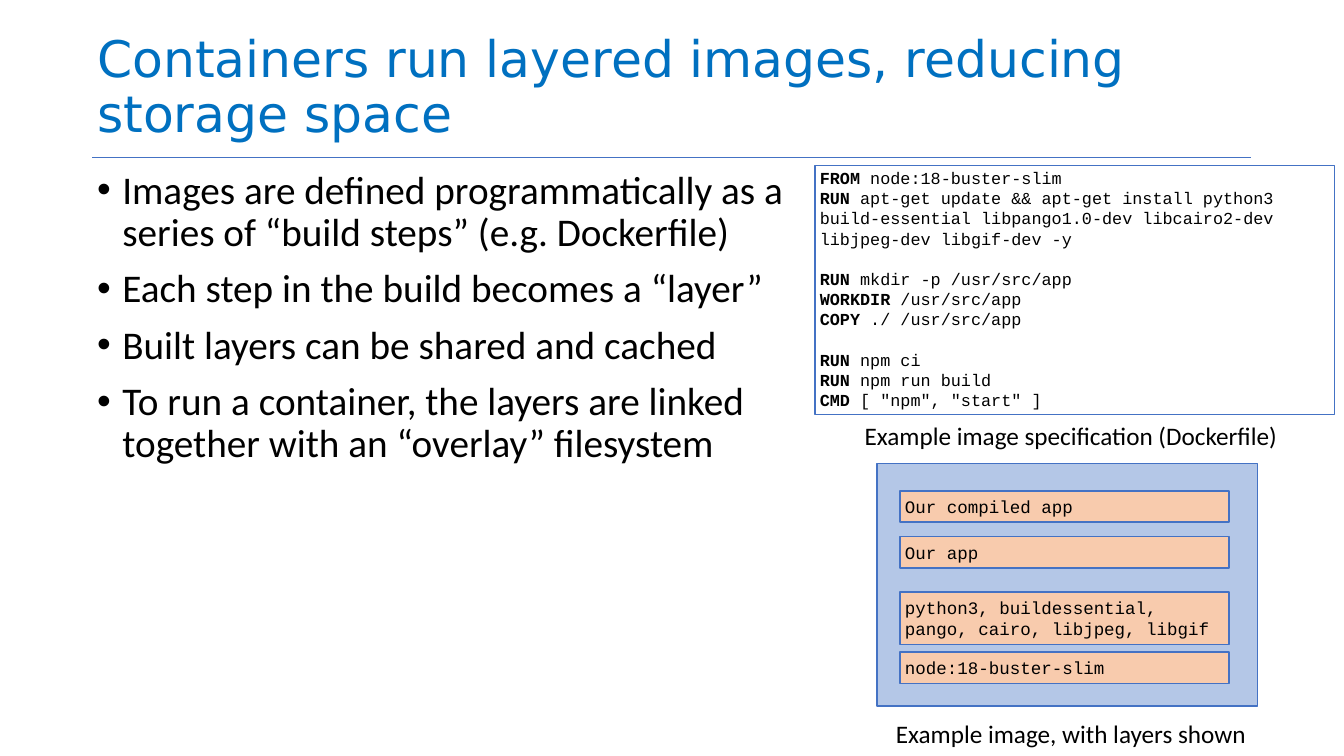
from lxml.etree import SubElement
from pptx import Presentation
from pptx.dml.color import RGBColor
from pptx.enum.shapes import MSO_CONNECTOR as Connector, MSO_SHAPE as Shape
from pptx.enum.text import MSO_ANCHOR as Anchor, PP_ALIGN as Align
from pptx.oxml.ns import qn
from pptx.util import Inches, Pt

BLACK = RGBColor(0x00, 0x00, 0x00)
TITLE_BLUE = RGBColor(0x00, 0x70, 0xC0)
LINE_BLUE = RGBColor(0x44, 0x72, 0xC4)
IMAGE_BLUE = RGBColor(0xB4, 0xC7, 0xE7)
LAYER_ORANGE = RGBColor(0xF8, 0xCB, 0xAD)

TITLE = {"name": "DejaVu Sans", "size": Pt(72), "color": TITLE_BLUE}
BODY = {"name": "Calibri", "size": Pt(56), "color": BLACK}
CAPTION = {"name": "Calibri", "size": Pt(36), "color": BLACK}
CODE = {"name": "Courier New", "size": Pt(24), "color": BLACK}
LAYER = {"name": "Courier New", "size": Pt(25), "color": BLACK}

presentation = Presentation()
presentation.slide_width = Inches(26.67)
presentation.slide_height = Inches(15)
slide = presentation.slides.add_slide(presentation.slide_layouts[6])


def add_box(left, top, width, height, anchor, fill=None, outlined=False, inset=0.1):
    position = [Inches(value) for value in (left, top, width, height)]
    if outlined:
        shape = slide.shapes.add_shape(Shape.RECTANGLE, *position)
        shape.shadow.inherit = False
        shape.line.color.rgb = LINE_BLUE
        shape.line.width = Pt(2)
        if fill is None:
            shape.fill.background()
        else:
            shape.fill.solid()
            shape.fill.fore_color.rgb = fill
    else:
        shape = slide.shapes.add_textbox(*position)
    frame = shape.text_frame
    settings = {
        "word_wrap": True, "vertical_anchor": anchor,
        "margin_left": Inches(0.1), "margin_right": Inches(0.1),
        "margin_top": Inches(inset), "margin_bottom": Inches(inset),
    }
    for name, value in settings.items():
        setattr(frame, name, value)
    frame.paragraphs[0].alignment = Align.LEFT
    return frame


def add_run(paragraph, text, style, bold=False):
    run = paragraph.add_run()
    run.text = text
    run.font.bold = bold
    for name, value in style.items():
        if name == "color":
            run.font.color.rgb = value
        else:
            setattr(run.font, name, value)


rule = slide.shapes.add_connector(
    Connector.STRAIGHT, Inches(1.83), Inches(3.13), Inches(24.83), Inches(3.13))
rule.line.color.rgb = LINE_BLUE
rule.line.width = Pt(1)
SubElement(rule._element.spPr, qn("a:effectLst"))

title = add_box(1.83, 0.04, 23, 2.9, Anchor.BOTTOM).paragraphs[0]
title.line_spacing = 0.9
add_run(title, "Containers run layered images, reducing storage space", TITLE)

bullets = [
    "Images are defined programmatically as a series of “build steps” (e.g. Dockerfile)",
    "Each step in the build becomes a “layer”",
    "Built layers can be shared and cached",
    "To run a container, the layers are linked together with an “overlay” filesystem",
]
body = add_box(1.83, 3.28, 14.33, 9.52, Anchor.TOP)
for index, text in enumerate(bullets):
    paragraph = body.add_paragraph() if index else body.paragraphs[0]
    properties = paragraph._p.get_or_add_pPr()
    properties.set("marL", str(Inches(0.5)))
    properties.set("indent", str(Inches(-0.5)))
    SubElement(properties, qn("a:buFont"), typeface="Arial")
    SubElement(properties, qn("a:buChar"), char="•")
    paragraph.line_spacing = 0.9
    if index:
        paragraph.space_before = Pt(20)
    add_run(paragraph, text, BODY)

build_steps = [
    [("FROM", " node:18-buster-slim"),
     ("RUN", " apt-get update && apt-get install python3 build-essential "
             "libpango1.0-dev libcairo2-dev libjpeg-dev libgif-dev -y")],
    [("RUN", " mkdir -p /usr/src/app"),
     ("WORKDIR", " /usr/src/app"),
     ("COPY", " ./ /usr/src/app")],
    [("RUN", " npm ci"),
     ("RUN", " npm run build"),
     ("CMD", ' [ "npm", "start" ]')],
]
dockerfile = add_box(16.17, 3.28, 10.31, 4.95, Anchor.TOP, outlined=True, inset=0.05)
for group_index, group in enumerate(build_steps):
    for step_index, (keyword, arguments) in enumerate(group):
        first = group_index == step_index == 0
        paragraph = dockerfile.paragraphs[0] if first else dockerfile.add_paragraph()
        paragraph.alignment = Align.LEFT
        if group_index and step_index == 0:
            paragraph.space_before = Pt(28.8)
        add_run(paragraph, keyword, CODE, bold=True)
        add_run(paragraph, arguments, CODE)

add_box(17.4, 9.2, 7.55, 4.81, Anchor.MIDDLE, IMAGE_BLUE, outlined=True)

layers = [
    (12.94, 0.62, "node:18-buster-slim"),
    (11.75, 1.04, "python3, buildessential, pango, cairo, libjpeg, libgif"),
    (10.65, 0.62, "Our app"),
    (9.74, 0.62, "Our compiled app"),
]
for top, height, text in layers:
    layer = add_box(17.86, top, 6.53, height, Anchor.MIDDLE, LAYER_ORANGE, outlined=True)
    add_run(layer.paragraphs[0], text, LAYER)

captions = [
    (17.06, 8.23, 8.52, "Example image specification (Dockerfile)"),
    (17.68, 14.15, 7.28, "Example image, with layers shown"),
]
for left, top, width, text in captions:
    caption = add_box(left, top, width, 0.81, Anchor.MIDDLE)
    add_run(caption.paragraphs[0], text, CAPTION)

presentation.save("out.pptx")
